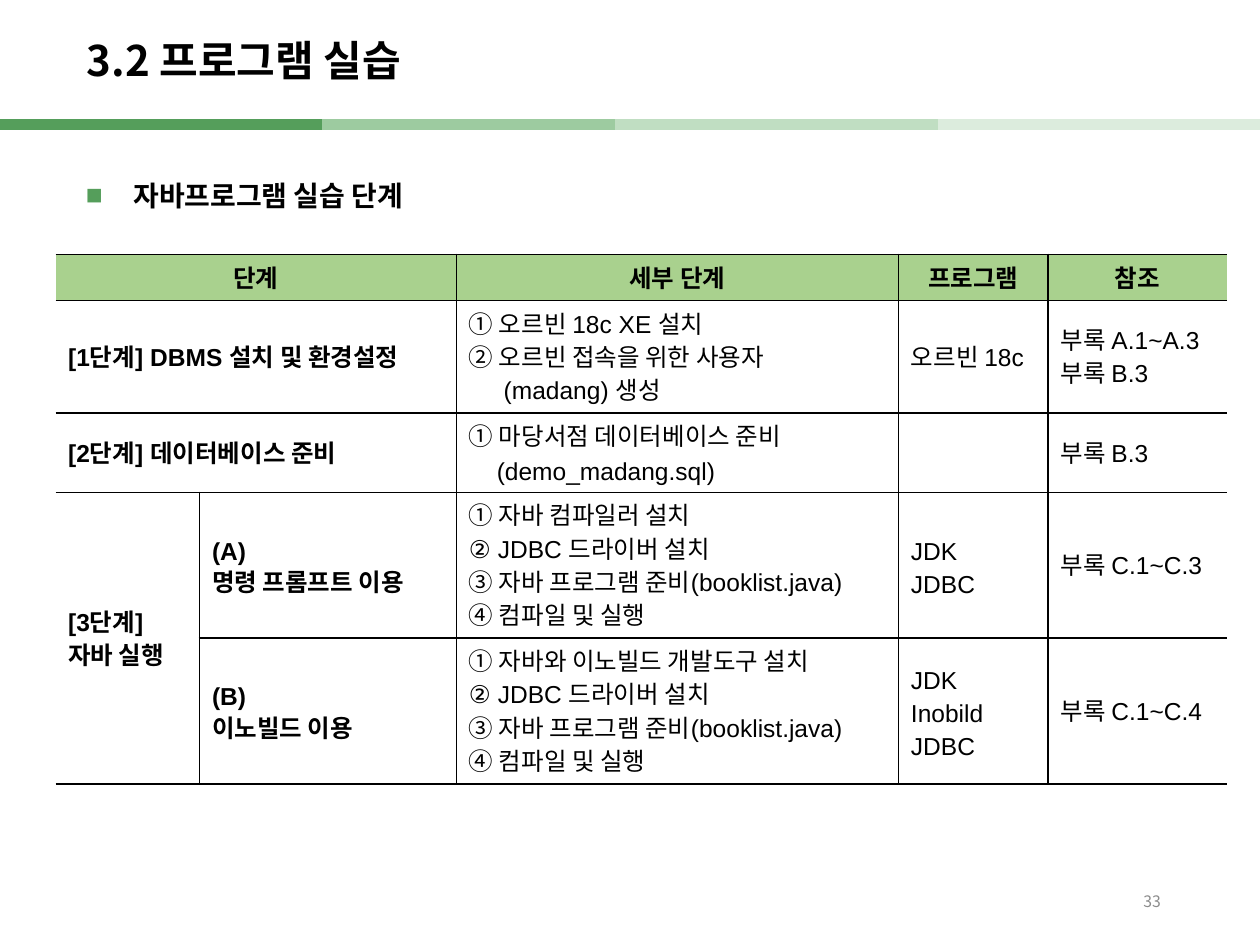
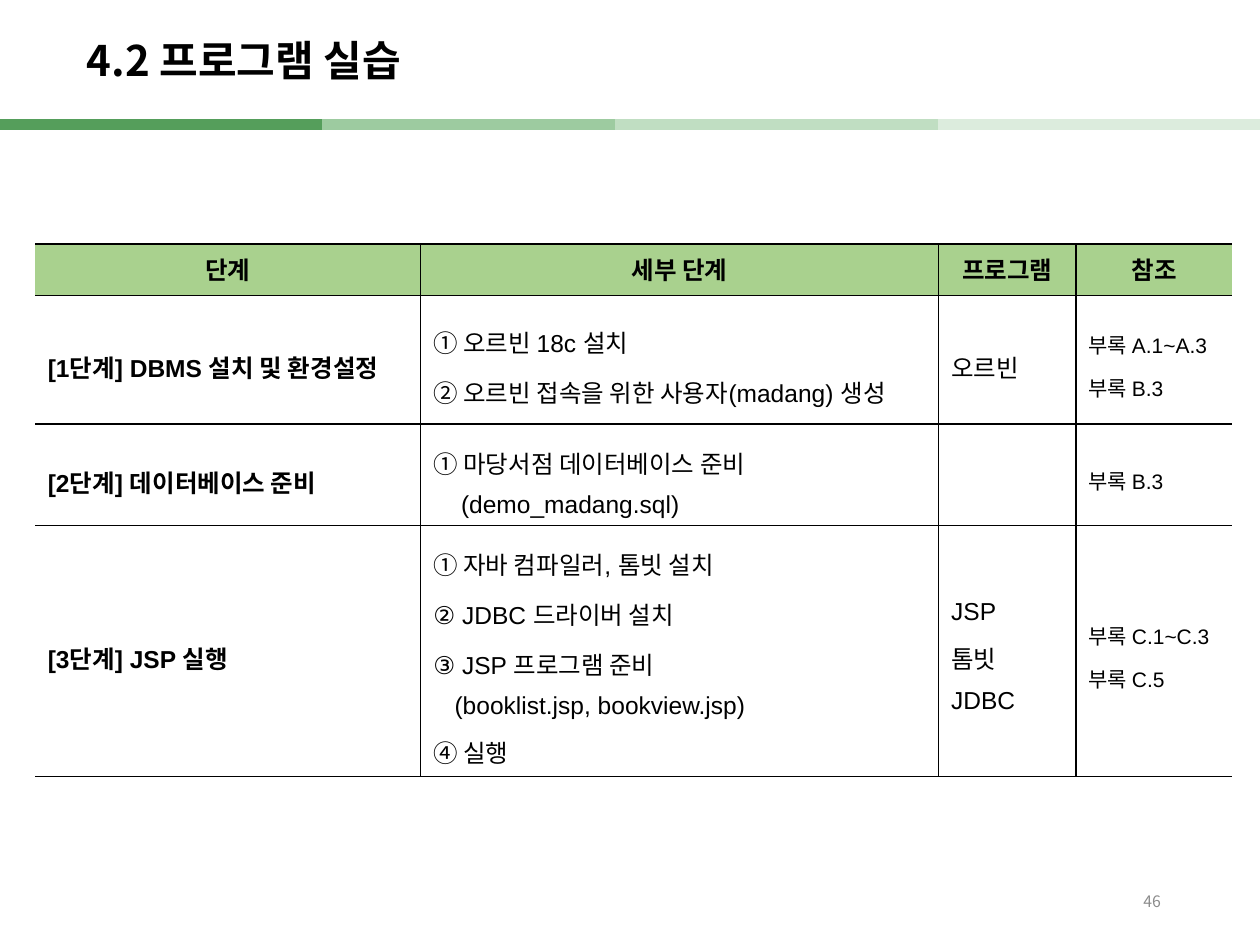
from lxml.etree import SubElement
from pptx import Presentation
from pptx.dml.color import RGBColor
from pptx.enum.shapes import MSO_CONNECTOR as Line
from pptx.enum.text import MSO_ANCHOR as Anchor, PP_ALIGN as Align
from pptx.oxml import parse_xml
from pptx.oxml.ns import nsdecls, qn
from pptx.util import Cm, Pt

BLACK = RGBColor(0x00, 0x00, 0x00)
WHITE = RGBColor(0xFF, 0xFF, 0xFF)
GRAY = RGBColor(0x8C, 0x8C, 0x8C)
GREEN = RGBColor(0x55, 0x9E, 0x5B)
HEADER_GREEN = RGBColor(0xA9, 0xD1, 0x8E)
BAND = [GREEN, RGBColor(0x9D, 0xCB, 0xA0), RGBColor(0xC0, 0xDE, 0xC2), RGBColor(0xDC, 0xEC, 0xDD)]
LATIN, KOREAN = "Arial", "Noto Sans CJK KR"
SLIDE_W, SLIDE_H = 25.4, 19.05
BAND_Y, BAND_LEN = 2.51, 6.5
LEFT, UP = "<", "^"

SLIDES = [
    dict(
        title="3.2 프로그램 실습", number="33", bullet="자바프로그램 실습 단계",
        at=(1.12, 5.13), cols=[2.9, 5.18, 8.91, 3.02, 3.6],
        rows=[0.93, 2.26, 1.6, 2.94, 2.94],
        spacing=Pt(19), ref_size=14,
        cells=[
            ["단계", LEFT, "세부 단계", "프로그램", "참조"],
            ["[1단계] DBMS 설치 및 환경설정", LEFT,
             ["① 오르빈 18c XE 설치", "② 오르빈 접속을 위한 사용자", (0.7, "(madang) 생성")],
             "오르빈 18c", ["부록 A.1~A.3", "부록 B.3"]],
            ["[2단계] 데이터베이스 준비", LEFT,
             ["① 마당서점 데이터베이스 준비", (0.56, "(demo_madang.sql)")], "", "부록 B.3"],
            [["[3단계]", "자바 실행"], ["(A)", "명령 프롬프트 이용"],
             ["① 자바 컴파일러 설치", "② JDBC 드라이버 설치",
              "③ 자바 프로그램 준비(booklist.java)", "④ 컴파일 및 실행"],
             ["JDK", "JDBC"], "부록 C.1~C.3"],
            [UP, ["(B)", "이노빌드 이용"],
             ["① 자바와 이노빌드 개발도구 설치", "② JDBC 드라이버 설치",
              "③ 자바 프로그램 준비(booklist.java)", "④ 컴파일 및 실행"],
             ["JDK", "Inobild", "JDBC"], "부록 C.1~C.4"],
        ],
    ),
    dict(
        title="4.2 프로그램 실습", number="46", bullet=None,
        at=(0.71, 4.92), cols=[7.77, 10.44, 2.77, 3.15],
        rows=[1.04, 2.59, 2.04, 5.06],
        spacing=1.4, ref_size=12,
        cells=[
            ["단계", "세부 단계", "프로그램", "참조"],
            ["[1단계] DBMS 설치 및 환경설정",
             ["① 오르빈 18c 설치", "② 오르빈 접속을 위한 사용자(madang) 생성"],
             "오르빈", ["부록 A.1~A.3", "부록 B.3"]],
            ["[2단계] 데이터베이스 준비",
             ["① 마당서점 데이터베이스 준비", (0.56, "(demo_madang.sql)")], "", "부록 B.3"],
            ["[3단계] JSP 실행",
             ["① 자바 컴파일러, 톰빗 설치", "② JDBC 드라이버 설치", "③ JSP 프로그램 준비",
              (0.43, "(booklist.jsp, bookview.jsp)"), "④ 실행"],
             ["JSP", "톰빗", "JDBC"], ["부록 C.1~C.3", "부록 C.5"]],
        ],
    ),
]


def style(p, size, color=BLACK, bold=False, latin=LATIN, spacing=None, align=Align.LEFT):
    p.alignment = align
    p.line_spacing = spacing
    for r in p.runs:
        r.font.size, r.font.bold, r.font.name = Pt(size), bold, latin
        r.font.color.rgb = color
        SubElement(r.font._element, qn("a:ea")).set("typeface", KOREAN)


def add_text(slide, text, x, y, w, h, anchor=Anchor.MIDDLE, **look):
    tf = slide.shapes.add_textbox(Cm(x), Cm(y), Cm(w), Cm(h)).text_frame
    tf.word_wrap = True
    tf.vertical_anchor = anchor
    p = tf.paragraphs[0]
    p.text = text
    style(p, **look)
    return p


def add_band(slide):
    for i in (1, 2, 3, 0):
        x = SLIDE_W - BAND_LEN * (len(BAND) - i) if i else 0
        line = slide.shapes.add_connector(
            Line.STRAIGHT, Cm(x), Cm(BAND_Y), Cm(x + BAND_LEN), Cm(BAND_Y))
        line.line.color.rgb = BAND[i]
        line.line.width = Pt(6)
        SubElement(line._element.spPr, qn("a:effectLst"))


def add_bullet(p):
    pPr = p._p.get_or_add_pPr()
    pPr.set("marL", str(Cm(0.96)))
    pPr.set("indent", str(-Cm(0.96)))
    color = SubElement(pPr, qn("a:buClr"))
    SubElement(color, qn("a:srgbClr")).set("val", str(GREEN))
    SubElement(pPr, qn("a:buFont")).set("typeface", LATIN)
    SubElement(pPr, qn("a:buChar")).set("char", "■")


def set_borders(cell, sides):
    tcPr = cell._tc.get_or_add_tcPr()
    for i, side in enumerate("LRTB"):
        paint = f'<a:solidFill><a:srgbClr val="{BLACK}"/></a:solidFill>' if side in sides else "<a:noFill/>"
        tcPr.insert(i, parse_xml(f'<a:ln{side} {nsdecls("a")} w="{Pt(1)}">{paint}</a:ln{side}>'))


def fill_cell(cell, content, **look):
    lines = content if isinstance(content, list) else [content]
    lines = [line if isinstance(line, tuple) else (0, line) for line in lines]
    cell.vertical_anchor = Anchor.MIDDLE
    cell.text_frame.text = "\n".join(text for _, text in lines)
    for p, (indent, _) in zip(cell.text_frame.paragraphs, lines):
        style(p, **look)
        if indent:
            p._p.get_or_add_pPr().set("marL", str(Cm(indent)))


def add_steps_table(slide, data):
    cols, rows, cells = data["cols"], data["rows"], data["cells"]
    x, y = data["at"]
    table = slide.shapes.add_table(
        len(rows), len(cols), Cm(x), Cm(y), Cm(sum(cols)), Cm(sum(rows))).table
    table.first_row = table.horz_banding = False
    for col, width in zip(table.columns, cols):
        col.width = Cm(width)
    for row, height in zip(table.rows, rows):
        row.height = Cm(height)
    last = len(cols) - 1
    detail = last - 2
    for i, line in enumerate(cells):
        header = i == 0
        for j, content in enumerate(line):
            cell = table.cell(i, j)
            cell.fill.solid()
            cell.fill.fore_color.rgb = HEADER_GREEN if header else WHITE
            sides = {"T", "B"} | ({"L"} if j else set()) | ({"R"} if j < last else set())
            if content == LEFT:
                table.cell(i, j - 1).merge(cell)
                sides.discard("L")
            elif content == UP:
                table.cell(i - 1, j).merge(cell)
                sides.discard("T")
            else:
                fill_cell(cell, content,
                          size=data["ref_size"] if j == last and not header else 14,
                          bold=header or j < detail,
                          spacing=Pt(19) if header else data["spacing"],
                          align=Align.CENTER if header else Align.LEFT)
            set_borders(cell, sides)


def build_slide(prs, data):
    slide = prs.slides.add_slide(prs.slide_layouts[6])
    add_band(slide)
    add_text(slide, data["title"], 1.5, 0.5, 21, 1.53,
             size=24, bold=True, latin=KOREAN, spacing=0.9)
    if data["bullet"]:
        add_bullet(add_text(slide, data["bullet"], 1.48, 3.13, 22.8, 15, anchor=Anchor.TOP,
                            size=16, bold=True, spacing=1.5))
    add_steps_table(slide, data)
    add_text(slide, data["number"], 17.94, 17.66, 5.71, 1.01,
             size=9, color=GRAY, latin=KOREAN, align=Align.RIGHT)


def main():
    prs = Presentation()
    prs.slide_width, prs.slide_height = Cm(SLIDE_W), Cm(SLIDE_H)
    for data in SLIDES:
        build_slide(prs, data)
    prs.save("out.pptx")


if __name__ == "__main__":
    main()
